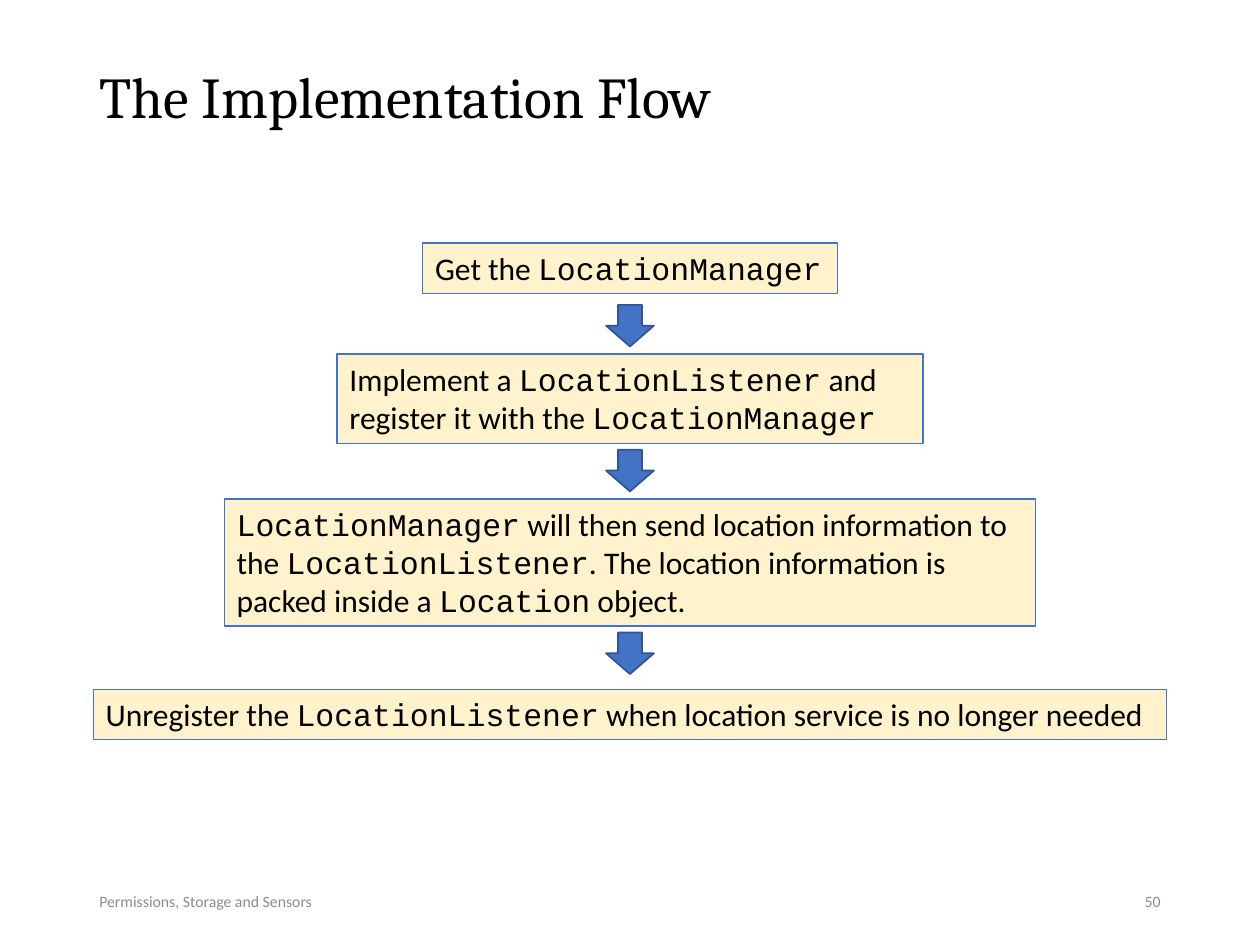
from pptx import Presentation
from pptx.dml.color import RGBColor
from pptx.enum.shapes import MSO_SHAPE
from pptx.enum.text import MSO_ANCHOR, MSO_AUTO_SIZE, PP_ALIGN
from pptx.util import Inches, Pt

BLACK = RGBColor(0x00, 0x00, 0x00)
GRAY = RGBColor(0x8C, 0x8C, 0x8C)
CREAM = RGBColor(0xFF, 0xF2, 0xCC)
BLUE = RGBColor(0x44, 0x72, 0xC4)
DARK_BLUE = RGBColor(0x32, 0x54, 0x91)

CODE_FONT = "Courier New"
ARROW_WIDTH, ARROW_HEIGHT = 0.38, 0.33

# Top, width, height, wrap and text of each step; backticks mark code
STEPS = [
    (1.93, 3.29, 0.4, False, "Get the `LocationManager`"),
    (2.81, 4.65, 0.71, True,
     "Implement a `LocationListener` and register it with the `LocationManager`"),
    (3.96, 6.44, 1.01, True,
     "`LocationManager` will then send location information to the "
     "`LocationListener`. The location information is packed inside a `Location` object."),
    (5.47, 8.52, 0.4, False,
     "Unregister the `LocationListener` when location service is no longer needed"),
]
ARROW_TOPS = [2.42, 3.57, 5.02]


def write_text(shape, text, *, size, font="Calibri", color=BLACK, align=PP_ALIGN.LEFT,
               anchor=MSO_ANCHOR.MIDDLE, wrap=True, grow=False, line_spacing=None):
    """Write one paragraph; parts between backticks get the code font."""
    frame = shape.text_frame
    frame.word_wrap = wrap
    frame.auto_size = MSO_AUTO_SIZE.SHAPE_TO_FIT_TEXT if grow else MSO_AUTO_SIZE.NONE
    frame.vertical_anchor = anchor
    paragraph = frame.paragraphs[0]
    paragraph.alignment = align
    if line_spacing:
        paragraph.line_spacing = line_spacing
    for index, part in enumerate(text.split("`")):
        if part:
            run = paragraph.add_run()
            run.text = part
            run.font.name = CODE_FONT if index % 2 else font
            run.font.size = Pt(size)
            run.font.color.rgb = color


def add_text(slide, left, top, width, height, text, **text_format):
    box = slide.shapes.add_textbox(Inches(left), Inches(top), Inches(width), Inches(height))
    write_text(box, text, **text_format)


def add_centered_shape(slide, kind, center, top, width, height, fill, line, line_width):
    shape = slide.shapes.add_shape(kind, Inches(center - width / 2), Inches(top),
                                   Inches(width), Inches(height))
    shape.shadow.inherit = False
    shape.fill.solid()
    shape.fill.fore_color.rgb = fill
    shape.line.color.rgb = line
    shape.line.width = Pt(line_width)
    return shape


def add_title(slide, left, top, width, height):
    add_text(slide, left, top, width, height, "The Implementation Flow",
             size=33, font="Cambria", line_spacing=0.9)


def add_flow(slide, center):
    # Step boxes
    for top, width, height, wrap, text in STEPS:
        box = add_centered_shape(slide, MSO_SHAPE.RECTANGLE, center, top, width, height,
                                 CREAM, BLUE, 0.75)
        write_text(box, text, size=18, anchor=MSO_ANCHOR.TOP, wrap=wrap, grow=True)
    # Arrows between the steps
    for top in ARROW_TOPS:
        add_centered_shape(slide, MSO_SHAPE.DOWN_ARROW, center, top, ARROW_WIDTH,
                           ARROW_HEIGHT, BLUE, DARK_BLUE, 1)


def add_footer(slide, left, top, width, height):
    part_width = 2.25
    add_text(slide, left, top, part_width, height, "Permissions, Storage and Sensors",
             size=9, color=GRAY)
    add_text(slide, left + width - part_width, top, part_width, height, "50",
             size=9, color=GRAY, align=PP_ALIGN.RIGHT)


def main():
    presentation = Presentation()
    presentation.slide_width = Inches(10)
    presentation.slide_height = Inches(7.5)
    slide = presentation.slides.add_slide(presentation.slide_layouts[6])
    add_title(slide, 0.69, 0.4, 8.62, 0.79)
    add_flow(slide, 5)
    add_footer(slide, 0.69, 6.95, 8.62, 0.4)
    presentation.save("out.pptx")


if __name__ == "__main__":
    main()
